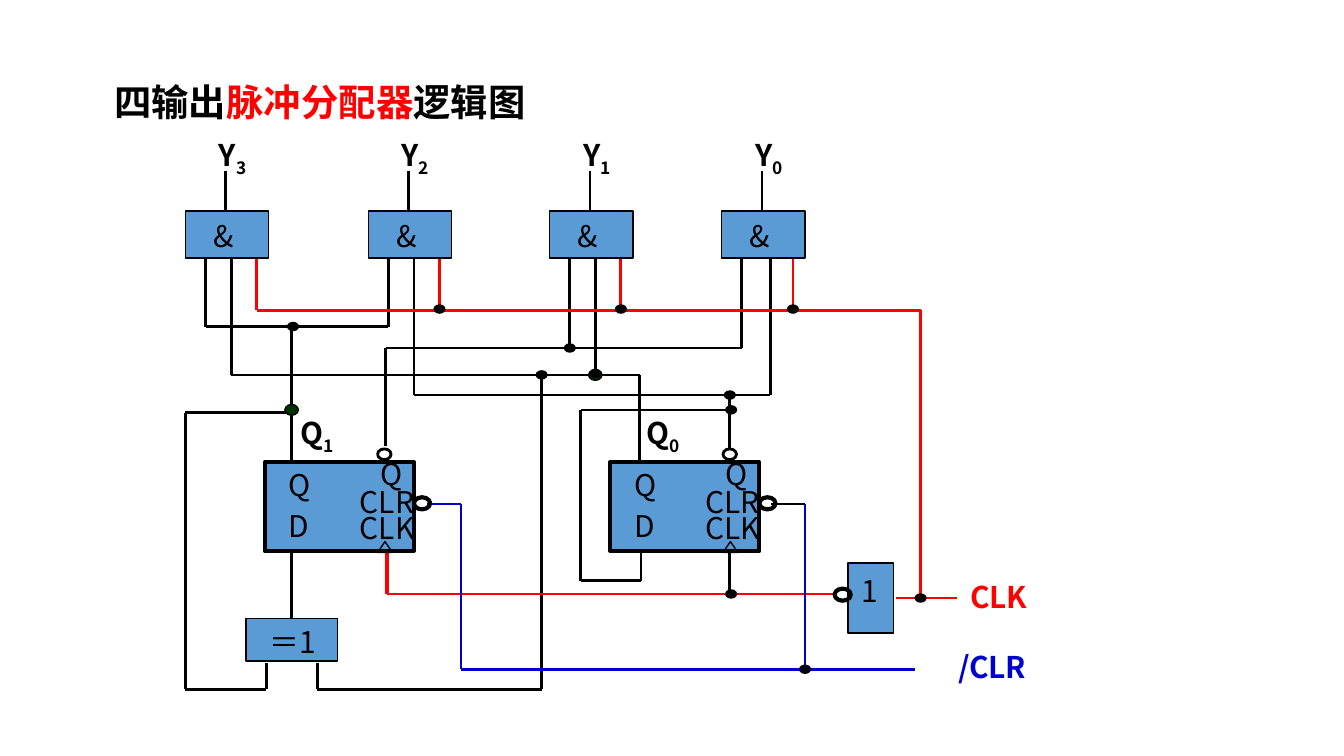
from dataclasses import dataclass

from lxml.etree import SubElement
from pptx import Presentation
from pptx.dml.color import RGBColor
from pptx.enum.shapes import MSO_CONNECTOR as Connector, MSO_SHAPE as Shape
from pptx.enum.text import MSO_ANCHOR as Anchor, MSO_AUTO_SIZE as AutoSize, PP_ALIGN as Align
from pptx.oxml.ns import qn
from pptx.util import Inches, Pt


@dataclass(frozen=True)
class Theme:
    black: RGBColor = RGBColor(0, 0, 0)
    red: RGBColor = RGBColor(0xFF, 0, 0)
    blue: RGBColor = RGBColor(0, 0, 0xCC)
    green: RGBColor = RGBColor(0, 0x33, 0)
    block: RGBColor = RGBColor(0x5B, 0x9B, 0xD5)
    title_font: str = "Noto Sans CJK JP"
    label_font: str = "Noto Sans CJK SC"
    title_size: float = 20
    label_size: float = 16
    thin: float = 0.75
    wire: float = 1.5
    thick: float = 2.25


class Diagram:
    def __init__(self, page, theme):
        self.page = page
        self.theme = theme

    def style(self, span, font, size, color, bold):
        span.font.size = Pt(size)
        span.font.bold = bold
        span.font.color.rgb = color
        span.font.name = font
        SubElement(span._r.get_or_add_rPr(), qn("a:ea")).set("typeface", font)

    def title(self, parts):
        box = self.page.shapes.title
        box.left, box.top, box.width, box.height = map(Inches, (0.75, 0.58, 8.5, 0.62))
        frame = box.text_frame
        frame.auto_size = AutoSize.NONE
        frame.vertical_anchor = Anchor.TOP
        para = frame.paragraphs[0]
        para.alignment = Align.LEFT
        para.line_spacing = 0.9
        for words, color in parts:
            span = para.add_run()
            span.text = words
            self.style(span, self.theme.title_font, self.theme.title_size, color, True)

    def label(self, left, top, words, width=0.24, sub="", color=None, bold=False):
        box = self.page.shapes.add_textbox(*map(Inches, (left, top, width, 0.37)))
        frame = box.text_frame
        frame.word_wrap = True
        frame.auto_size = AutoSize.SHAPE_TO_FIT_TEXT
        frame.text = words
        para = frame.paragraphs[0]
        if sub:
            para.add_run().text = sub
        for span in para.runs:
            self.style(span, self.theme.label_font, self.theme.label_size,
                       color or self.theme.black, bold)
        if sub:
            para.runs[1]._r.get_or_add_rPr().set("baseline", "-25000")

    def shape(self, kind, left, top, width, height, fill=None, weight=None):
        item = self.page.shapes.add_shape(kind, *map(Inches, (left, top, width, height)))
        item.shadow.inherit = False
        if fill is None:
            item.fill.background()
        else:
            item.fill.solid()
            item.fill.fore_color.rgb = fill
        item.line.color.rgb = self.theme.black
        item.line.width = Pt(weight or self.theme.thin)

    def dot(self, x, y, width=0.08, height=0.06, color=None):
        self.shape(Shape.OVAL, x - width / 2, y - height / 2, width, height,
                   color or self.theme.black)

    def wire(self, points, color=None, weight=None):
        for start, end in zip(points, points[1:]):
            line = self.page.shapes.add_connector(
                Connector.STRAIGHT, *map(Inches, (*start, *end)))
            line.line.color.rgb = color or self.theme.black
            line.line.width = Pt(weight or self.theme.wire)
            SubElement(line._element.spPr, qn("a:effectLst"))

    def and_gate(self, left, index):
        self.wire([(left + 0.3, 1.57), (left + 0.3, 1.27)])
        self.shape(Shape.RECTANGLE, left, 1.57, 0.62, 0.35, self.theme.block)
        self.label(left + 0.11, 1.57, "&", 0.39)
        self.label(left + 0.15, 0.97, "Y", 0.77, index, bold=True)

    def flip_flop(self, left, index):
        thick = self.theme.thick
        self.shape(Shape.RECTANGLE, left, 3.44, 1.11, 0.66, self.theme.block, thick)
        for dx, top, words, width in (
            (0.08, 3.73, "D", 0.24), (0.08, 3.42, "Q", 0.24), (0.76, 3.34, "Q", 0.24),
            (0.61, 3.55, "CLR", 1.8), (0.61, 3.74, "CLK", 1.5),
        ):
            self.label(left + dx, top, words, width)
        self.label(left + 0.17, 3.04, "Q", 0.6, index, bold=True)
        self.shape(Shape.FLOWCHART_EXTRACT, left + 0.84, 4.03, 0.11, 0.08)
        self.shape(Shape.OVAL, left + 0.84, 3.34, 0.1, 0.08, weight=self.theme.wire)
        self.shape(Shape.OVAL, left + 1.11, 3.7, 0.12, 0.09, weight=thick)


def main():
    deck = Presentation()
    deck.slide_width, deck.slide_height = Inches(10), Inches(10 * 9 / 16)
    page = deck.slides.add_slide(deck.slide_layouts[5])
    theme = Theme()
    art = Diagram(page, theme)
    art.title([("四输出", theme.black), ("脉冲分配器", theme.red), ("逻辑图", theme.black)])

    gates = (1.38, 2.74, 4.09, 5.37)
    pin, clock_bus = 1.92, 2.31
    for route in (
        [(1.53, pin), (1.53, 2.43), (2.89, 2.43), (2.89, pin)],
        [(1.72, pin), (1.72, 2.79), (4.76, 2.79), (4.76, 3.42)],
        [(4.43, pin), (4.43, 2.79)],
        [(3.08, pin), (3.08, 2.94), (5.73, 2.94), (5.73, pin)],
        [(2.87, 3.32), (2.87, 2.59), (5.52, 2.59), (5.52, pin)],
        [(4.24, pin), (4.24, 2.59)],
        [(2.17, 2.43), (2.17, 3.42)],
        [(2.17, 3.07), (1.38, 3.07), (1.38, 5.13), (1.98, 5.13), (1.98, 4.93)],
        [(2.36, 4.93), (2.36, 5.13), (4.03, 5.13), (4.03, 2.79)],
        [(2.17, 4.09), (2.17, 4.61)],
        [(5.43, 2.94), (5.43, 3.33)],
        [(5.43, 3.05), (4.32, 3.05), (4.32, 4.32), (4.77, 4.32), (4.77, 4.09)],
        [(5.43, 4.09), (5.43, 4.42)],
        [(5.74, 3.75), (5.99, 3.75)],
    ):
        art.wire(route)

    for left in gates[1:]:
        art.wire([(left + 0.53, pin), (left + 0.53, clock_bus)], theme.red)
    art.wire([(1.91, pin), (1.91, clock_bus), (6.85, clock_bus), (6.85, 4.45)], theme.red)
    art.wire([(6.67, 4.45), (7.12, 4.45)], theme.red)
    art.wire([(2.88, 4.09), (2.88, 4.42)], theme.red, theme.thick)
    art.wire([(2.88, 4.42), (6.22, 4.42)], theme.red)
    art.wire([(3.18, 3.75), (3.43, 3.75), (3.43, 4.98), (6.81, 4.98)], theme.blue)
    art.wire([(5.99, 3.75), (5.99, 4.98)], theme.blue)

    for left, index in zip(gates, "3210"):
        art.and_gate(left, index)
    for left, index in ((1.97, "1"), (4.54, "0")):
        art.flip_flop(left, index)

    art.shape(Shape.RECTANGLE, 1.83, 4.6, 0.68, 0.32, theme.block)
    art.label(1.91, 4.59, "＝1", 0.6)
    art.shape(Shape.RECTANGLE, 6.31, 4.19, 0.34, 0.52, theme.block)
    art.label(6.31, 4.21, "1", 0.42)
    art.shape(Shape.OVAL, 6.21, 4.38, 0.12, 0.09, weight=theme.thick)

    for x, y in ((2.17, 3.05), (4.43, 2.79)):
        art.dot(x, y, 0.1, 0.08, theme.green)
    for left in gates[1:]:
        art.dot(left + 0.53, 2.3)
    for x, y in (
        (2.18, 2.43), (4.24, 2.59), (4.03, 2.79), (4.43, 2.78), (5.43, 2.94),
        (5.44, 3.05), (5.44, 4.42), (6.85, 4.45), (5.99, 4.98),
    ):
        art.dot(x, y)

    art.label(7.12, 4.26, "CLK", 0.7, color=theme.red, bold=True)
    art.label(7.03, 4.78, "/CLR", 1.38, color=theme.blue, bold=True)
    deck.save("out.pptx")


if __name__ == "__main__":
    main()
